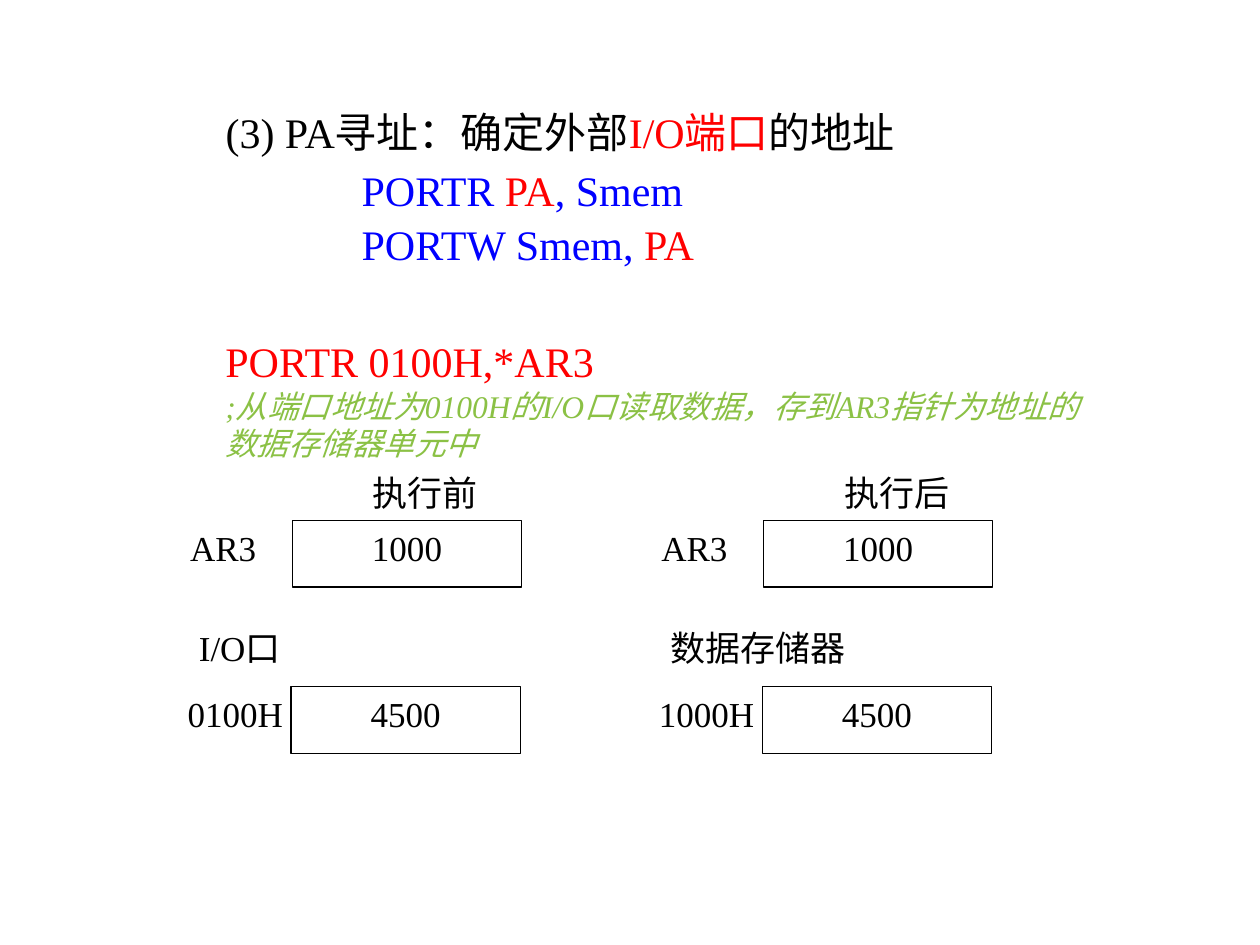
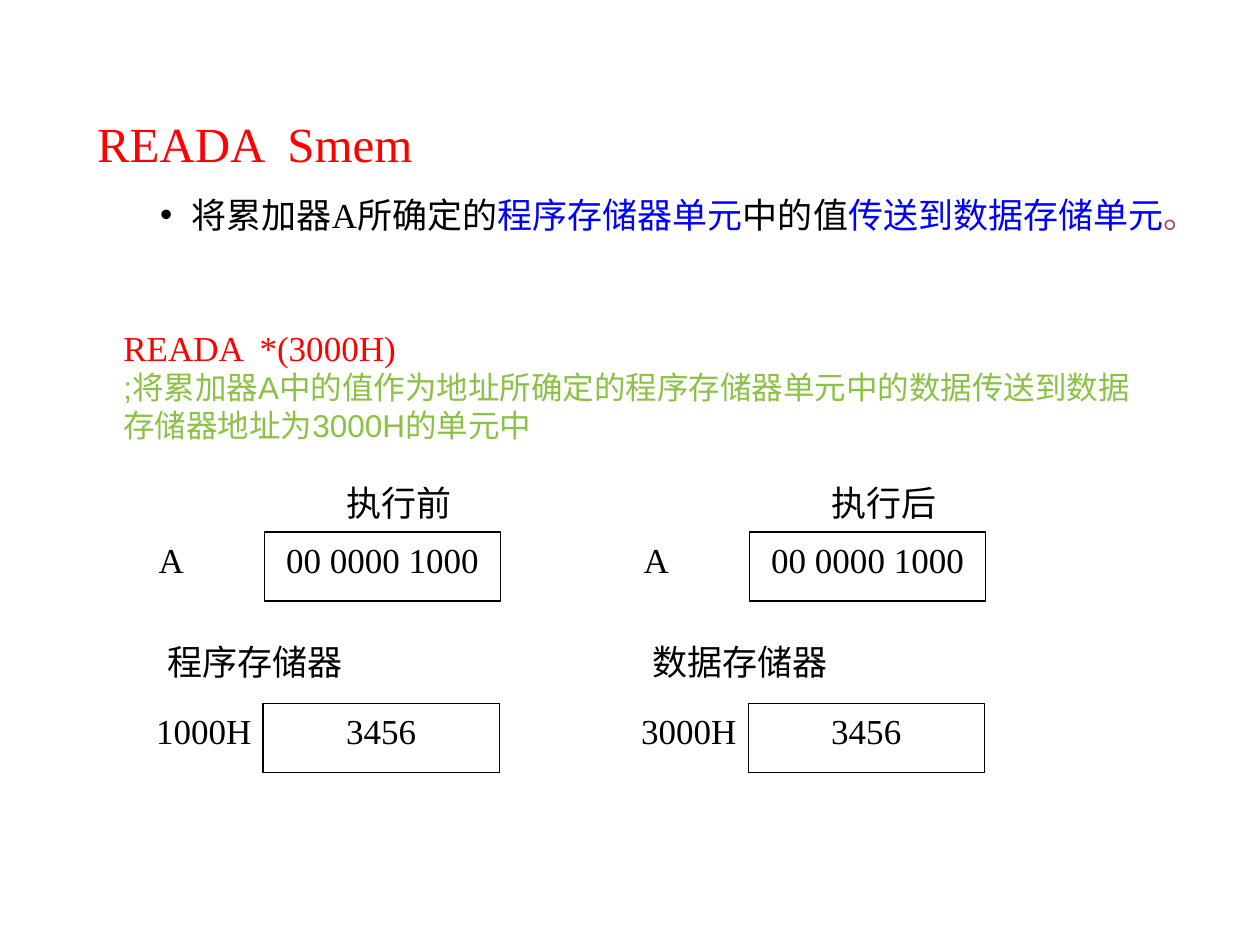
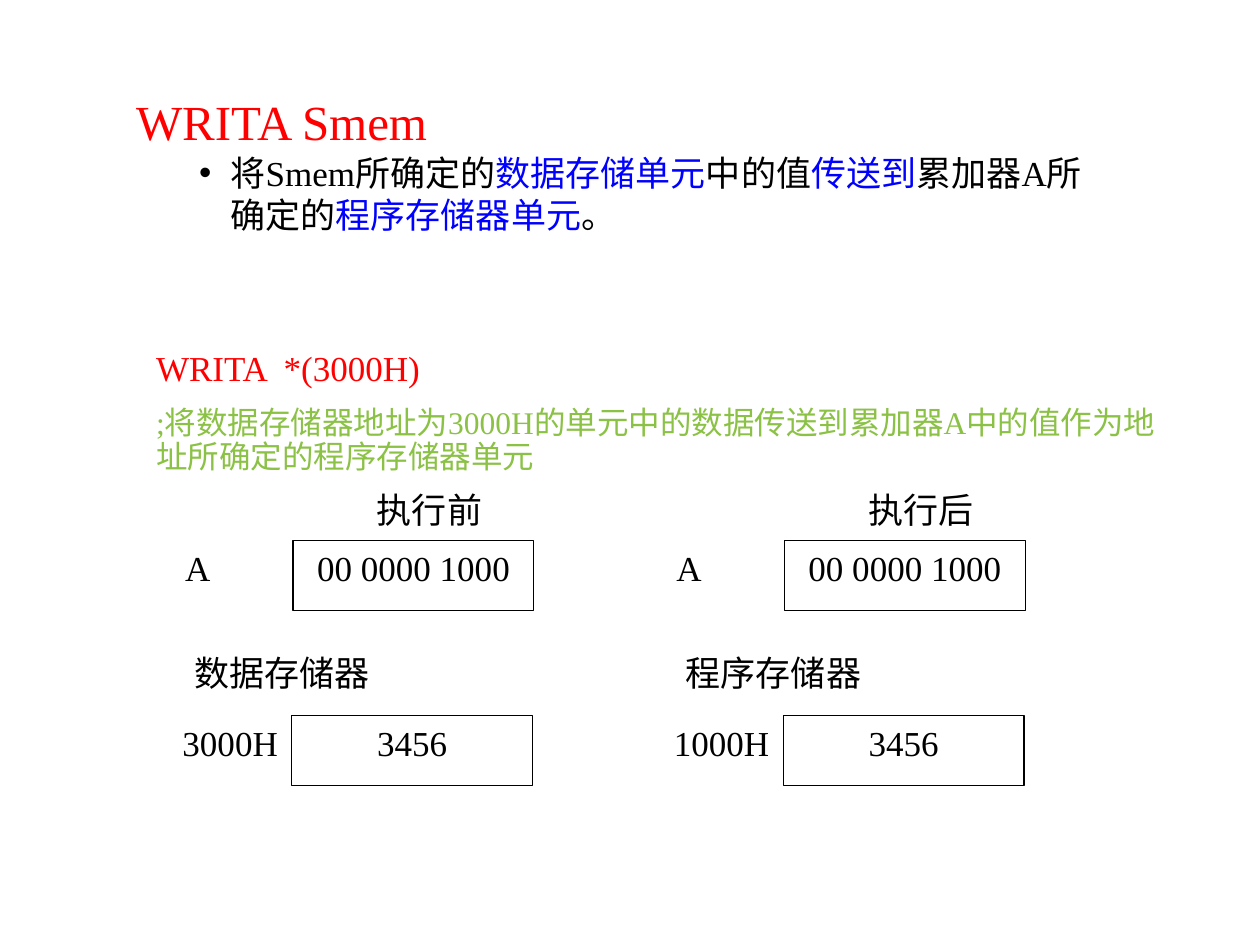
from lxml.etree import SubElement
from pptx import Presentation
from pptx.dml.color import RGBColor
from pptx.enum.shapes import MSO_SHAPE
from pptx.enum.text import MSO_ANCHOR, MSO_AUTO_SIZE, PP_ALIGN
from pptx.oxml.ns import qn
from pptx.util import Inches, Pt

BLACK = RGBColor(0x00, 0x00, 0x00)
WHITE = RGBColor(0xFF, 0xFF, 0xFF)
RED = RGBColor(0xFF, 0x00, 0x00)
BLUE = RGBColor(0x00, 0x00, 0xFF)
GREEN = RGBColor(0x8B, 0xC1, 0x45)
PURPLE = RGBColor(0x95, 0x4F, 0x72)
SERIF = "Times New Roman"
SANS = "Arial"


def add_runs(paragraph, runs, size, font=SERIF, italic=False):
    """Add coloured runs that share one font and size."""
    for text, color in runs:
        run = paragraph.add_run()
        run.text = text
        run.font.name = font
        run.font.size = Pt(size)
        run.font.italic = italic
        run.font.color.rgb = color


def set_indent(paragraph, margin, hanging=0, bullet=False):
    """Set the indent of a paragraph and show or hide its bullet."""
    properties = paragraph._p.get_or_add_pPr()
    properties.set("marL", str(Inches(margin)))
    properties.set("indent", str(-Inches(hanging)))
    if bullet:
        color = SubElement(properties, qn("a:buClr"))
        SubElement(color, qn("a:srgbClr")).set("val", str(BLACK))
        SubElement(properties, qn("a:buFont")).set("typeface", SANS)
        SubElement(properties, qn("a:buChar")).set("char", "•")
    else:
        SubElement(properties, qn("a:buNone"))


def add_line(frame, runs, size, spacing=1.0, before=0, margin=0, bullet=False,
             level=0, font=SERIF, italic=False):
    """Write one paragraph, using the empty first one when it is free."""
    first = frame.paragraphs[0]
    paragraph = frame.add_paragraph() if first.runs else first
    paragraph.level = level
    set_indent(paragraph, margin, 0.25 if bullet else 0, bullet)
    paragraph.line_spacing = spacing
    paragraph.space_before = Pt(before)
    add_runs(paragraph, runs, size, font, italic)


def prepare_frame(frame):
    """Wrap a text frame and fix its text to the top."""
    frame.word_wrap = True
    frame.auto_size = MSO_AUTO_SIZE.NONE
    frame.vertical_anchor = MSO_ANCHOR.TOP
    return frame


def add_body_slide(presentation, left, top, width, height):
    """Add a slide whose only placeholder is a moved body, and return both."""
    slide = presentation.slides.add_slide(presentation.slide_layouts[1])
    title = slide.shapes.title
    title.element.getparent().remove(title.element)
    body = slide.placeholders[1]
    body.left, body.top = Inches(left), Inches(top)
    body.width, body.height = Inches(width), Inches(height)
    return slide, prepare_frame(body.text_frame)


def add_text_frame(shapes, left, top, width, height):
    """Add a wrapping text box and return its frame."""
    box = shapes.add_textbox(Inches(left), Inches(top), Inches(width), Inches(height))
    return prepare_frame(box.text_frame)


def add_label(shapes, text, left, top, width, height):
    """Add a plain black label."""
    frame = add_text_frame(shapes, left, top, width, height)
    add_runs(frame.paragraphs[0], [(text, BLACK)], 20)


def add_value_cell(shapes, text, left, top, width, height):
    """Add an outlined box holding a register or memory value."""
    cell = shapes.add_shape(MSO_SHAPE.RECTANGLE, Inches(left), Inches(top),
                            Inches(width), Inches(height))
    cell.shadow.inherit = False
    cell.fill.solid()
    cell.fill.fore_color.rgb = WHITE
    cell.line.color.rgb = BLACK
    cell.line.width = Pt(0.75)
    frame = prepare_frame(cell.text_frame)
    frame.margin_left = frame.margin_right = 0
    paragraph = frame.paragraphs[0]
    paragraph.alignment = PP_ALIGN.CENTER
    add_runs(paragraph, [(text, BLACK)], 20)


def add_state(shapes, left, top, scale, heading, register, memory):
    """Draw the register and memory contents at one moment."""
    register_name, register_value = register
    memory_name, address, memory_value = memory
    parts = [
        (add_label, heading, 1.47, 0, 1.62),
        (add_label, register_name, 0.02, 0.44, 1.22),
        (add_value_cell, register_value, 0.93, 0.44, 1.82),
        (add_label, memory_name, 0.09, 1.23, 1.62),
        (add_label, address, 0, 1.76, 1.22),
        (add_value_cell, memory_value, 0.92, 1.76, 1.82),
    ]
    for add_part, text, across, down, width in parts:
        add_part(shapes, text, left + across * scale, top + down * scale,
                 width * scale, 0.53 * scale)


def add_comparison(slide, left, top, scale, pitch, register, before, after):
    """Group the states before and after an instruction side by side."""
    shapes = slide.shapes.add_group_shape().shapes
    states = [("执行前", before), ("执行后", after)]
    for column, (heading, memory) in enumerate(states):
        add_state(shapes, left + column * pitch, top, scale, heading, register, memory)


def add_port_slide(presentation):
    """Build the slide on port addressing."""
    slide, body = add_body_slide(presentation, 1.69, 0.84, 7.22, 1.5)
    add_line(body, [("(3) PA寻址：确定外部", BLACK), ("I/O端口", RED),
                    ("的地址", BLACK)], 24, spacing=0.9)
    add_line(body, [("PORTR ", BLUE), ("PA", RED), (", Smem", BLUE)], 24,
             before=4, margin=1.08, level=1)
    add_line(body, [("PORTW Smem, ", BLUE), ("PA", RED)], 24,
             before=2, margin=1.08, level=2)
    example = add_text_frame(slide.shapes, 1.69, 2.66, 7.22, 4.95)
    add_line(example, [("PORTR 0100H,*AR3", RED)], 24, spacing=0.9)
    add_line(example, [(";从端口地址为0100H的I/O口读取数据，存到AR3指针为地址的数据存储器单元中",
                        GREEN)], 18, italic=True)
    add_comparison(slide, 1.39, 3.69, 1, 3.74, ("AR3", "1000"),
                   ("I/O口", "0100H", "4500"), ("数据存储器", "1000H", "4500"))


def add_read_slide(presentation):
    """Build the slide on reading program memory."""
    slide, body = add_body_slide(presentation, 0.67, 0.71, 9.06, 1.42)
    add_line(body, [("READA  Smem", RED)], 28, spacing=1.3)
    add_line(body, [("将累加器A所确定的", BLACK), ("程序存储器单元", BLUE),
                    ("中的值", BLACK), ("传送到数据存储单元", BLUE), ("。", PURPLE)],
             20, spacing=1.3, before=5, margin=0.75, bullet=True, level=1)
    example = add_text_frame(slide.shapes, 0.88, 2.54, 8.28, 1.04)
    add_line(example, [("READA  *(3000H)", RED)], 20)
    add_line(example, [(";将累加器A中的值作为地址所确定的程序存储器单元中的数据"
                        "传送到数据存储器地址为3000H的单元中", GREEN)], 18, font=SANS)
    add_comparison(slide, 1.14, 3.77, 1.03, 3.85, ("A", "00 0000 1000"),
                   ("程序存储器", "1000H", "3456"), ("数据存储器", "3000H", "3456"))


def add_write_slide(presentation):
    """Build the slide on writing program memory."""
    slide, body = add_body_slide(presentation, 0.98, 0.73, 7.73, 1.34)
    add_line(body, [("WRITA Smem", RED)], 28, spacing=0.9)
    add_line(body, [("将Smem所确定的", BLACK), ("数据存储单元", BLUE), ("中的值", BLACK),
                    ("传送到", BLUE), ("累加器A所确定的", BLACK),
                    ("程序存储器单元", BLUE), ("。", BLACK)],
             20, margin=0.75, bullet=True, level=1)
    example = add_text_frame(slide.shapes, 1.14, 2.74, 8.27, 1.61)
    add_line(example, [("WRITA  *(3000H)", RED)], 20, spacing=0.9)
    add_line(example, [(";将数据存储器地址为3000H的单元中的数据传送到累加器A中的值"
                        "作为地址所确定的程序存储器单元", GREEN)],
             18, spacing=0.9, before=10)
    add_comparison(slide, 1.35, 3.83, 1.05, 3.9, ("A", "00 0000 1000"),
                   ("数据存储器", "3000H", "3456"), ("程序存储器", "1000H", "3456"))


def main():
    """Build and save the presentation."""
    presentation = Presentation()
    presentation.slide_width = Inches(10)
    presentation.slide_height = Inches(7.5)
    add_port_slide(presentation)
    add_read_slide(presentation)
    add_write_slide(presentation)
    presentation.save("out.pptx")


if __name__ == "__main__":
    main()
